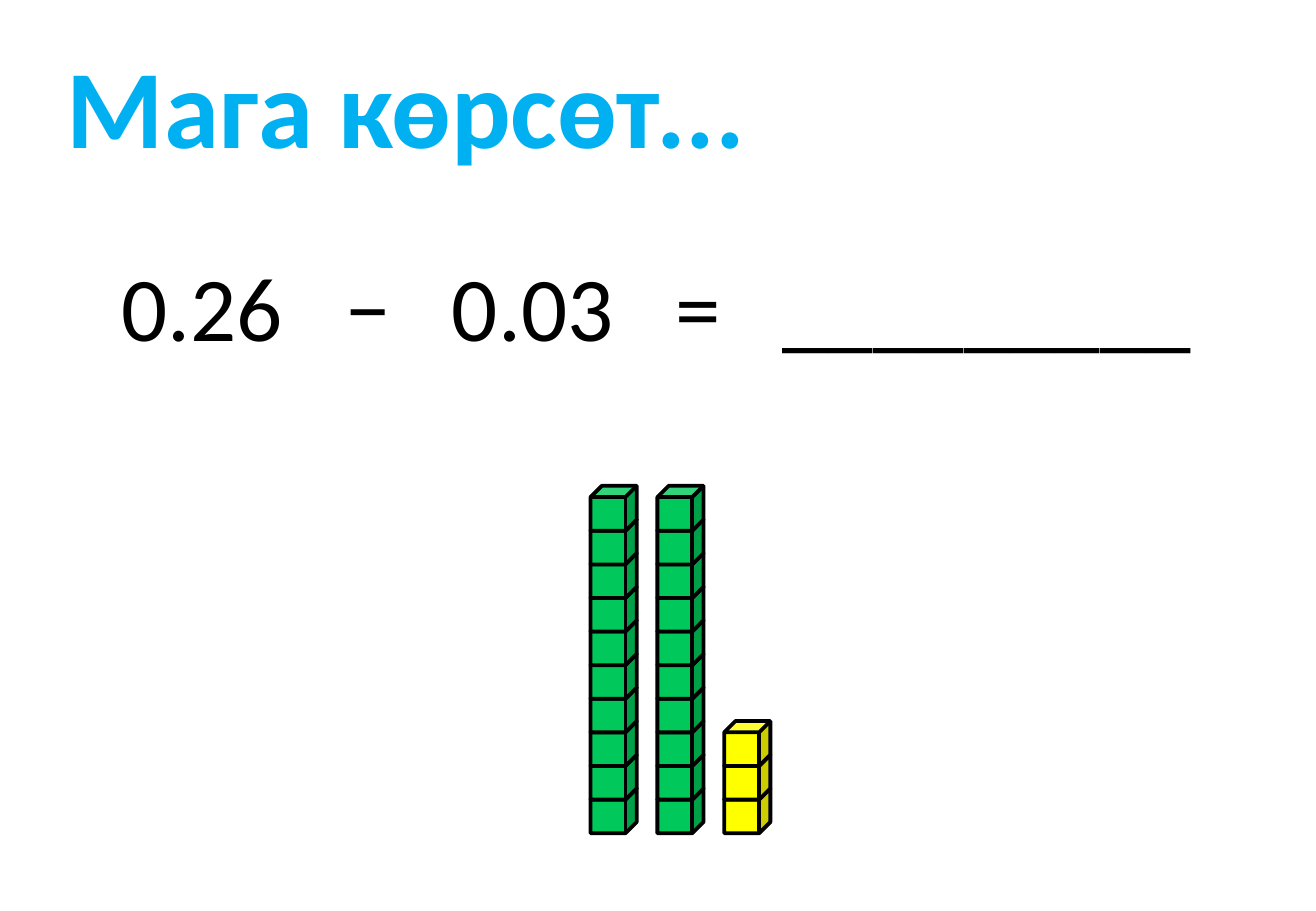
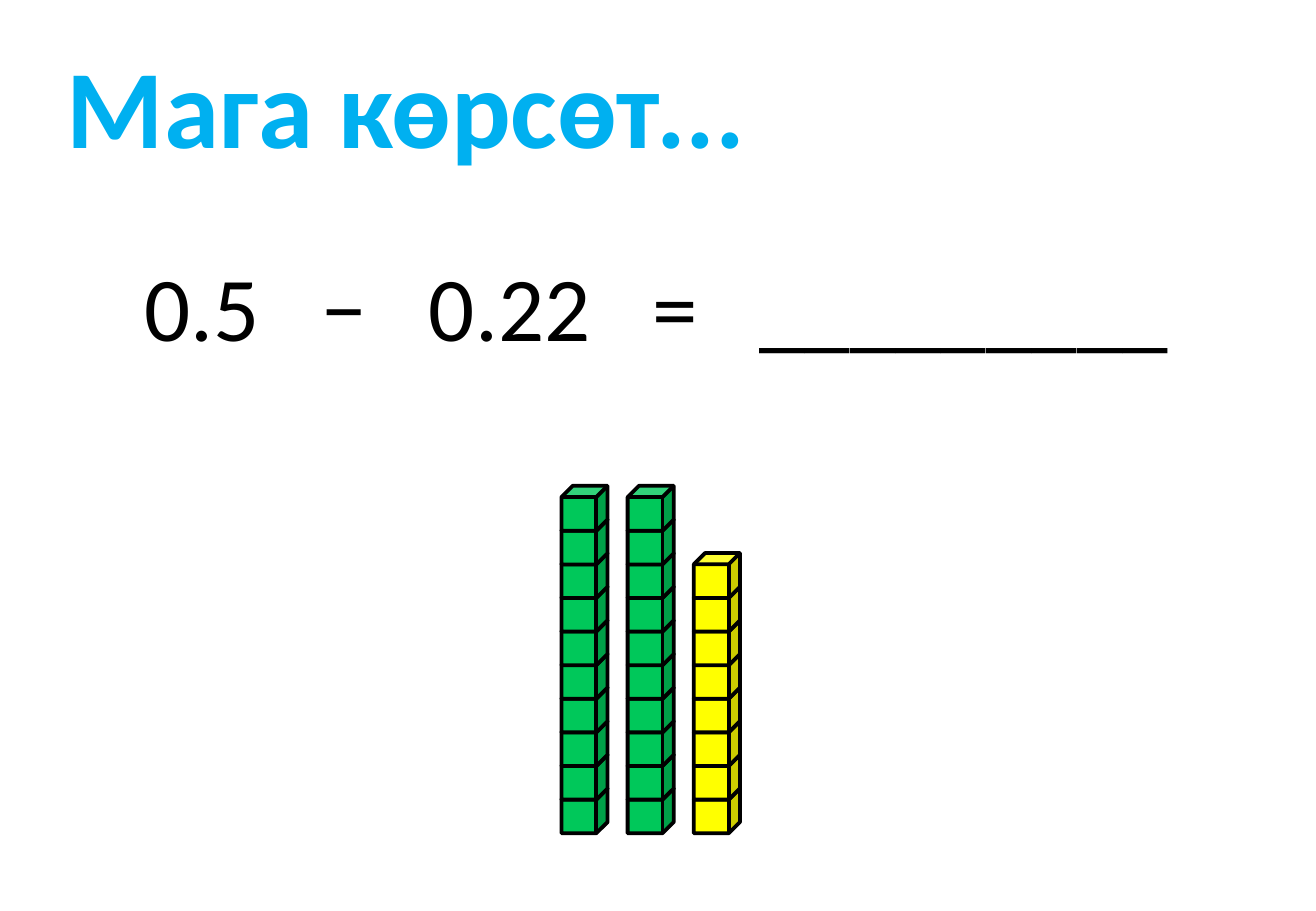
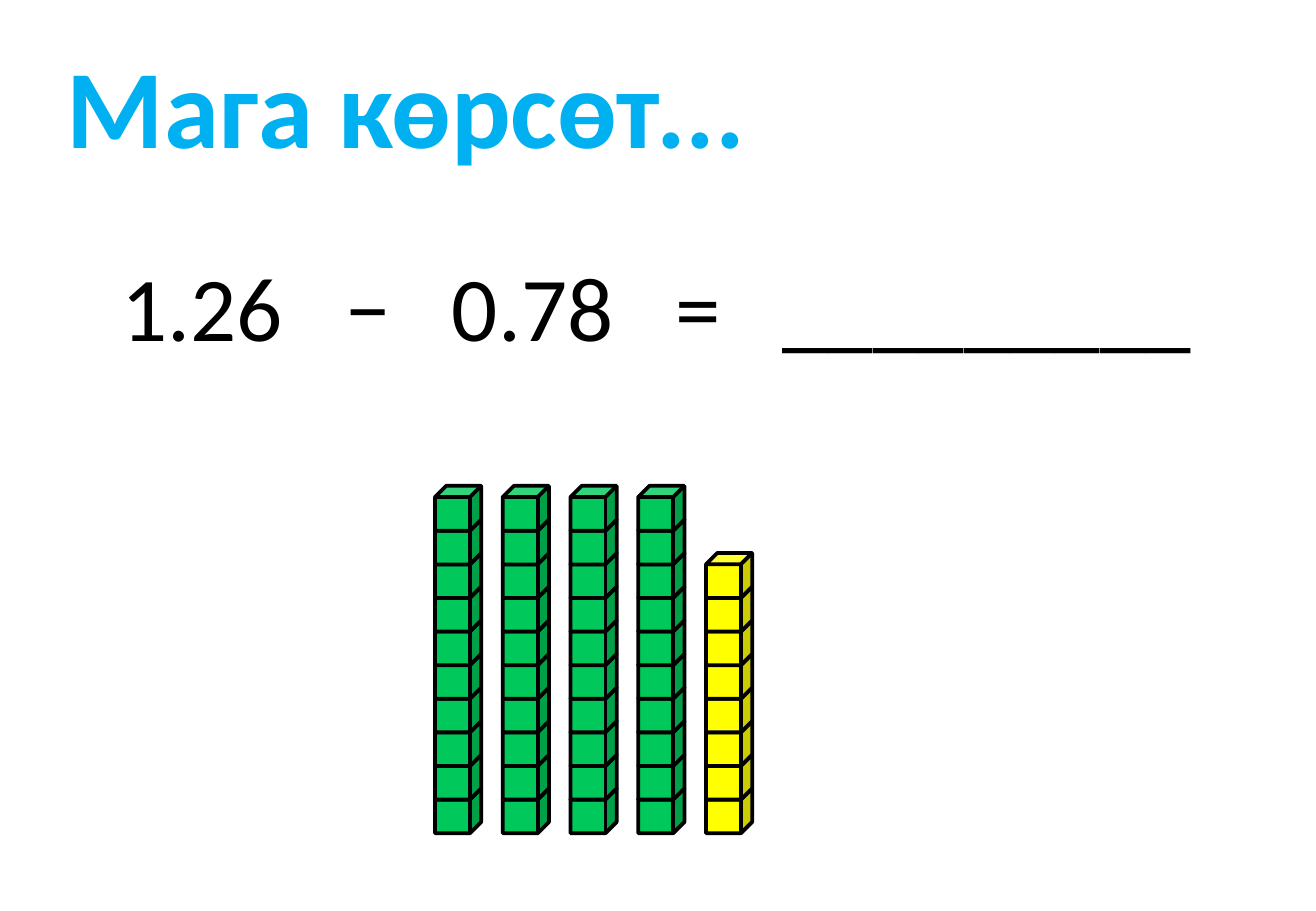
"""Build three slides that show decimal subtraction with stacks of cubes."""
from dataclasses import dataclass
from itertools import accumulate

from lxml import etree
from pptx import Presentation
from pptx import util as u
from pptx.dml.color import RGBColor
from pptx.enum import shapes, text
from pptx.oxml import ns

PX = 9144
HUES = {"title": "00B0F0", "ink": "000000", "tenth": "00C85A", "unit": "FFFF00"}
FONT = "Calibri"
TITLE = "Мага көрсөт..."
BLANK = "_________"
DIGIT, DOT, GAP, SIGN, TERM = 38, 19, 51, 37, 133
CUBE_W, CUBE_H = 38, 37
BASE, RISE, TALL = 649, 249, 10


@dataclass(frozen=True)
class Task:
    """One subtraction and its stacks, spread evenly from left to right."""
    first: str
    second: str
    tens: int
    ones: int
    left: int
    right: int


TASKS = (
    Task("0.26", "0.03", 2, 3, 486, 596),
    Task("0.5", "0.22", 2, 8, 462, 571),
    Task("1.26", "0.78", 4, 8, 358, 581),
)


def px(n: float) -> u.Emu:
    """Turn px into EMU."""
    return u.Emu(round(n * PX))


def hue(name: str) -> RGBColor:
    """Look up a named colour."""
    return RGBColor.from_string(HUES[name])


def write(box, words: str, *, at: tuple, size: int, tone: str,
          bold: bool = False, inset: int = 10, tabs: tuple = ()) -> None:
    """Place a text shape and fill it with one formatted line."""
    box.left, box.top, box.width, box.height = map(px, at)
    frame = box.text_frame
    frame.word_wrap = True
    frame.auto_size = text.MSO_AUTO_SIZE.SHAPE_TO_FIT_TEXT
    frame.vertical_anchor = text.MSO_ANCHOR.TOP
    frame.margin_left = px(inset)
    para = frame.paragraphs[0]
    para.alignment = text.PP_ALIGN.LEFT
    if tabs:
        stops = etree.SubElement(para._p.get_or_add_pPr(), ns.qn("a:tabLst"))
        for stop in tabs:
            etree.SubElement(stops, ns.qn("a:tab"), pos=str(px(stop)), algn="l")
    run = para.add_run()
    run.text = words
    font = run.font
    font.name, font.size, font.bold = FONT, u.Pt(size), bold
    font.color.rgb = hue(tone)


def stack(slide, left: float, count: int, tone: str) -> None:
    """Pile cubes upward from the base line."""
    group = slide.shapes.add_group_shape()
    for i in range(count):
        top = BASE - RISE * i / (TALL - 1)
        cube = group.shapes.add_shape(
            shapes.MSO_SHAPE.CUBE, px(left), px(top), px(CUBE_W), px(CUBE_H))
        cube.shadow.inherit = False
        cube.fill.solid()
        cube.fill.fore_color.rgb = hue(tone)
        cube.line.color.rgb = hue("ink")
        cube.line.width = u.Pt(2.25)


def sum_line(slide, task: Task) -> None:
    """Write the subtraction with its parts on tab stops."""
    wide = DOT + DIGIT * (len(task.first) - 1)
    left = 87 + (TERM - wide) // 2
    steps = (wide + GAP, SIGN + GAP, TERM + GAP, SIGN + GAP)
    box = slide.shapes.add_textbox(0, 0, 0, 0)
    write(box, "\t".join((task.first, "−", task.second, "=", BLANK)),
          at=(left, 201, wide + 777, 101), size=54, tone="ink", inset=13,
          tabs=tuple(accumulate(steps)))


def draw(deck, task: Task) -> None:
    """Add the slide of one task."""
    slide = deck.slides.add_slide(deck.slide_layouts.get_by_name("Title Only"))
    write(slide.shapes.title, TITLE, at=(24, 26, 754, 121), size=66,
          tone="title", bold=True, inset=31)
    sum_line(slide, task)
    step = (task.right - task.left) / task.tens
    for i in range(task.tens):
        stack(slide, task.left + i * step, TALL, "tenth")
    stack(slide, task.right, task.ones, "unit")


def main() -> None:
    """Build and save the deck."""
    deck = Presentation()
    deck.slide_width, deck.slide_height = px(1083), px(750)
    for task in TASKS:
        draw(deck, task)
    deck.save("out.pptx")


if __name__ == "__main__":
    main()
